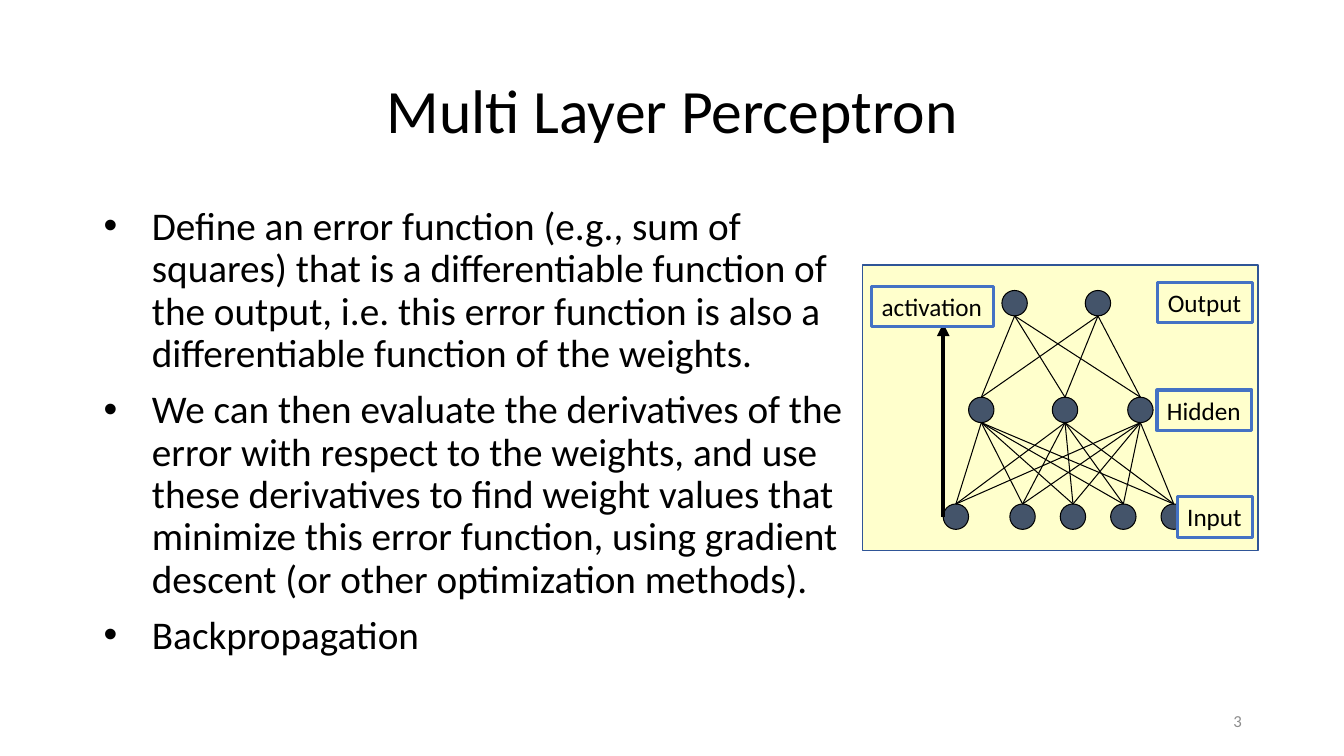
"""Builds the Multi Layer Perceptron slide with its network diagram."""
from dataclasses import dataclass
from itertools import pairwise, product

import pptx
import pptx.dml.color
import pptx.enum.shapes
import pptx.enum.text
import pptx.oxml.ns
import pptx.oxml.xmlchemy
import pptx.util

Cm = pptx.util.Cm
Pt = pptx.util.Pt
RGB = pptx.dml.color.RGBColor.from_string
Element = pptx.oxml.xmlchemy.OxmlElement
Shapes = pptx.enum.shapes.MSO_SHAPE
Align = pptx.enum.text.PP_ALIGN
Anchor = pptx.enum.text.MSO_ANCHOR


@dataclass(frozen=True)
class Theme:
    font: str = "Calibri"
    ink: str = "000000"
    muted: str = "8C8C8C"
    panel: str = "FFFFCC"
    panel_edge: str = "2F5597"
    label_edge: str = "4472C4"
    node: str = "44546A"
    title_size: float = 44
    body_size: float = 28
    label_size: float = 18
    number_size: float = 12


@dataclass(frozen=True)
class Box:
    left: float
    top: float
    width: float
    height: float

    def emu(self) -> tuple:
        return Cm(self.left), Cm(self.top), Cm(self.width), Cm(self.height)


@dataclass(frozen=True)
class Layer:
    top: float
    centers: tuple[float, ...]


@dataclass(frozen=True)
class Label:
    text: str
    left: float
    top: float
    width: float


THEME = Theme()
NODE_SIZE = 0.64
LABEL_HEIGHT = 1.02
PANEL = Box(21.74, 6.68, 9.96, 7.19)
LAYERS = (
    Layer(7.32, (25.57, 27.67)),
    Layer(10.01, (24.73, 26.84, 28.74)),
    Layer(12.7, (24.09, 25.77, 27.04, 28.31, 29.58)),
)
LABELS = (
    Label("activation", 21.97, 7.21, 3.07),
    Label("Input", 29.67, 12.52, 1.9),
    Label("Hidden", 29.16, 9.83, 2.39),
    Label("Output", 29.18, 7.11, 2.39),
)
BULLETS = (
    "Define an error function (e.g., sum of squares) that is a differentiable "
    "function of the output, i.e. this error function is also a differentiable "
    "function of the weights.",
    "We can then evaluate the derivatives of the error with respect to the weights, "
    "and use these derivatives to find weight values that minimize this error "
    "function, using gradient descent (or other optimization methods).",
    "Backpropagation",
)


def add_run(p, text: str, size: float, color: str) -> None:
    r = p.add_run()
    r.text = text
    r.font.name = THEME.font
    r.font.size = Pt(size)
    r.font.color.rgb = RGB(color)


def add_text(s, box: Box, anchor):
    tf = s.shapes.add_textbox(*box.emu()).text_frame
    tf.word_wrap = True
    tf.vertical_anchor = anchor
    return tf


def add_line_text(s, box: Box, text: str, size: float, color: str, align,
                  spacing: float = 1.0) -> None:
    p = add_text(s, box, Anchor.MIDDLE).paragraphs[0]
    p.alignment = align
    p.line_spacing = spacing
    add_run(p, text, size, color)


def add_bullets(s, box: Box, items: tuple[str, ...]) -> None:
    tf = add_text(s, box, Anchor.TOP)
    for i, item in enumerate(items):
        p = tf.add_paragraph() if i else tf.paragraphs[0]
        pPr = p._p.get_or_add_pPr()
        pPr.set("marL", str(Cm(1.24)))
        pPr.set("indent", str(Cm(-1.22)))
        for tag, key, value in (("buFont", "typeface", "Arial"), ("buChar", "char", "•")):
            bullet = Element(f"a:{tag}")
            bullet.set(key, value)
            pPr.append(bullet)
        p.line_spacing = 0.9
        if i:
            p.space_before = Pt(10)
        add_run(p, item, THEME.body_size, THEME.ink)


def add_figure(s, kind, box: Box, fill: str, edge: str, weight: float):
    sp = s.shapes.add_shape(kind, *box.emu())
    sp.shadow.inherit = False
    sp.fill.solid()
    sp.fill.fore_color.rgb = RGB(fill)
    sp.line.color.rgb = RGB(edge)
    sp.line.width = Pt(weight)
    return sp


def add_line(s, x1: float, y1: float, x2: float, y2: float, weight: float):
    line = s.shapes.add_connector(
        pptx.enum.shapes.MSO_CONNECTOR.STRAIGHT, Cm(x1), Cm(y1), Cm(x2), Cm(y2))
    line.line.color.rgb = RGB(THEME.ink)
    line.line.width = Pt(weight)
    line._element.spPr.append(Element("a:effectLst"))
    return line


def add_label(s, label: Label) -> None:
    box = Box(label.left, label.top, label.width, LABEL_HEIGHT)
    sp = add_figure(s, Shapes.RECTANGLE, box, THEME.panel, THEME.label_edge, 2.25)
    tf = sp.text_frame
    tf.word_wrap = False
    tf.auto_size = pptx.enum.text.MSO_AUTO_SIZE.SHAPE_TO_FIT_TEXT
    tf.vertical_anchor = Anchor.TOP
    p = tf.paragraphs[0]
    p.alignment = Align.LEFT
    add_run(p, label.text, THEME.label_size, THEME.ink)


def add_network(s) -> None:
    add_figure(s, Shapes.RECTANGLE, PANEL, THEME.panel, THEME.panel_edge, 1)
    for layer in LAYERS:
        for x in layer.centers:
            box = Box(x - NODE_SIZE / 2, layer.top, NODE_SIZE, NODE_SIZE)
            add_figure(s, Shapes.OVAL, box, THEME.node, THEME.ink, 0.75)
    for upper, lower in pairwise(LAYERS):
        for x1, x2 in product(upper.centers, lower.centers):
            add_line(s, x1, upper.top + NODE_SIZE, x2, lower.top, 0.75)
    arrow = add_line(s, 23.77, 13.03, 23.77, 8.15, 3)
    head = Element("a:tailEnd")
    head.set("type", "triangle")
    arrow._element.spPr.find(pptx.oxml.ns.qn("a:ln")).append(head)
    for label in LABELS:
        add_label(s, label)


def main() -> None:
    prs = pptx.Presentation()
    prs.slide_width, prs.slide_height = Cm(33.87), Cm(19.05)
    s = prs.slides.add_slide(prs.slide_layouts[6])
    add_bullets(s, Box(2.34, 5.08, 19.43, 12.09), BULLETS)
    add_line_text(s, Box(2.34, 1.02, 29.21, 3.68), "Multi Layer Perceptron",
                  THEME.title_size, THEME.ink, Align.CENTER, 0.9)
    add_line_text(s, Box(23.93, 17.65, 7.62, 1.02), "3",
                  THEME.number_size, THEME.muted, Align.RIGHT)
    add_network(s)
    prs.save("out.pptx")


if __name__ == "__main__":
    main()
